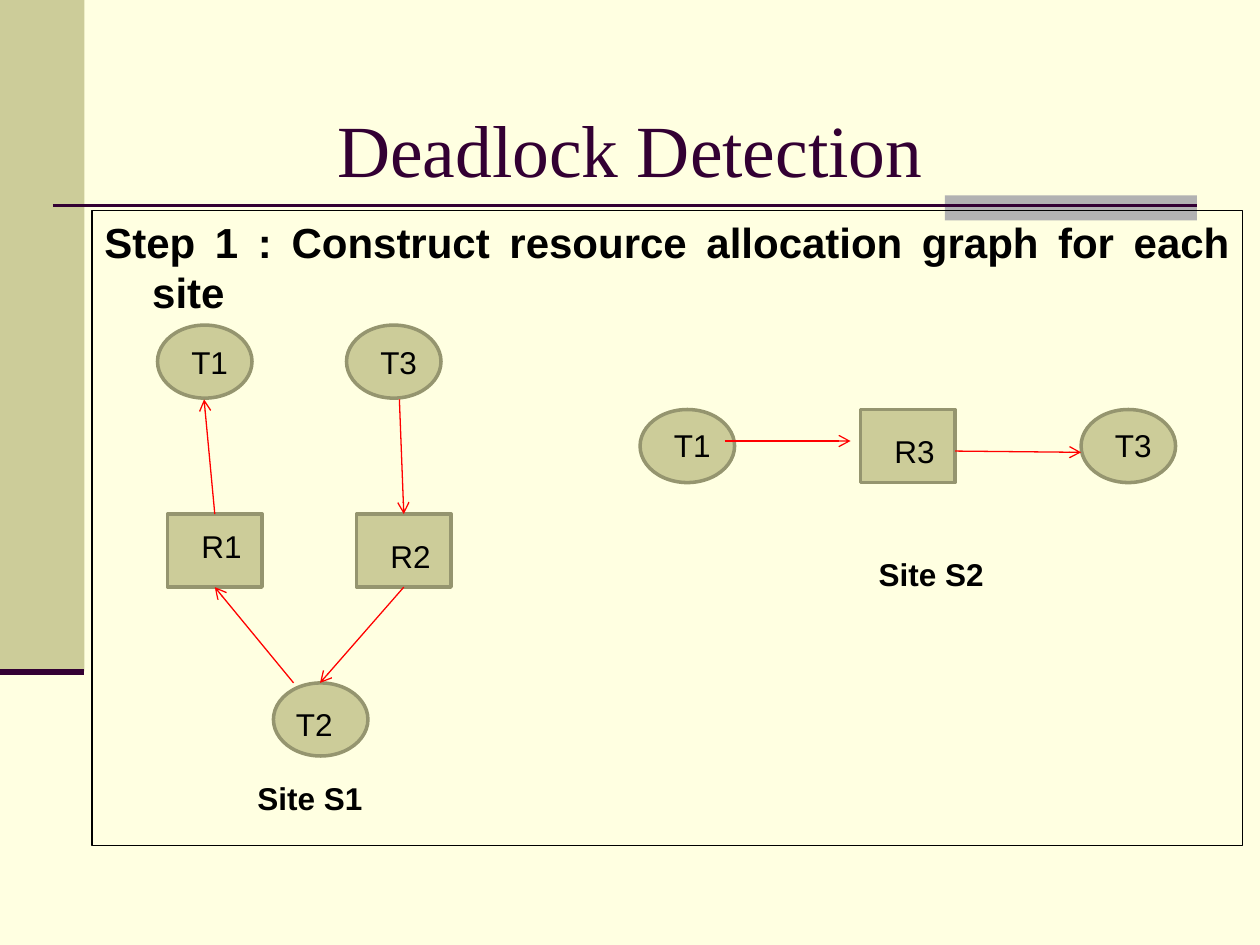
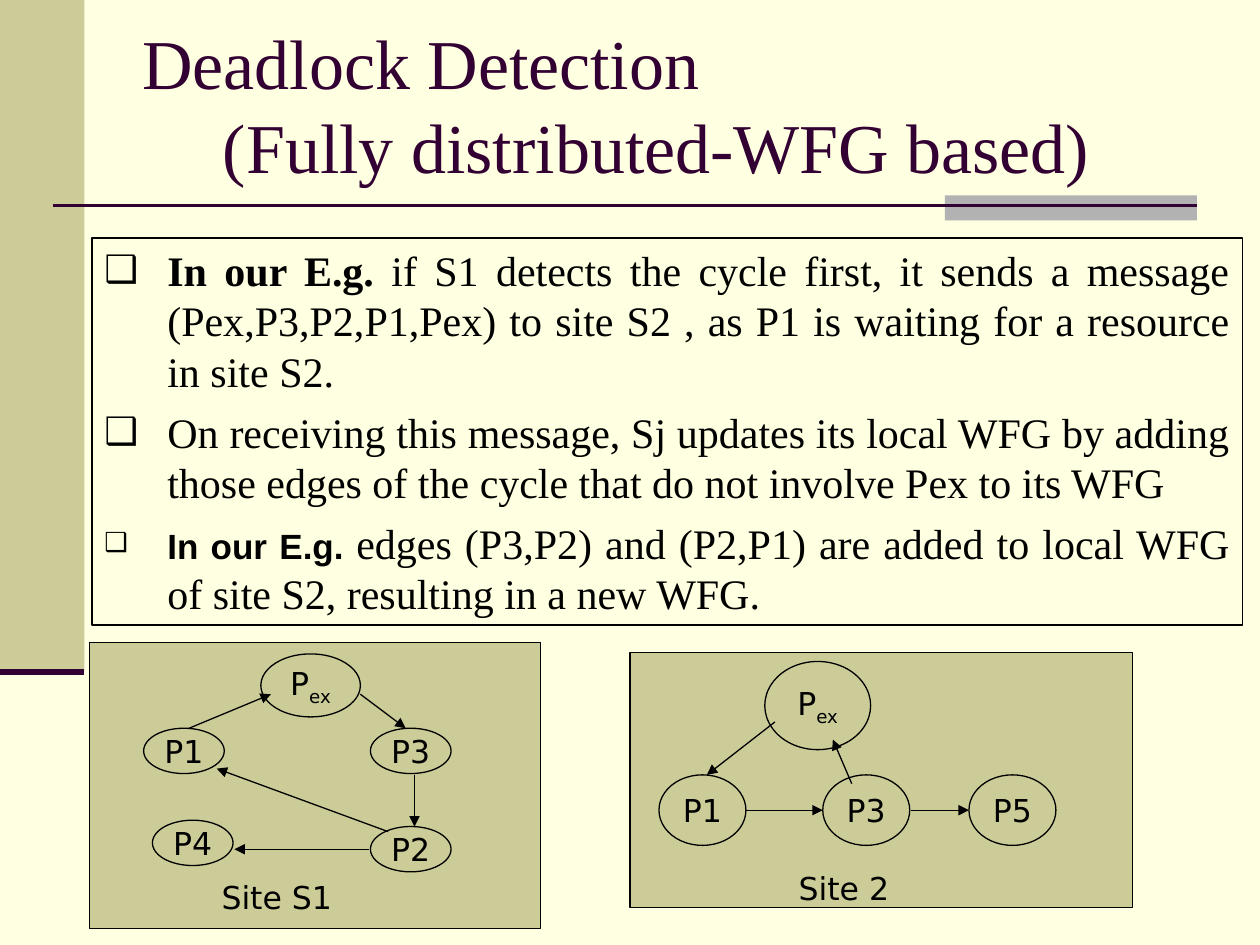
from lxml import etree
from pptx import Presentation
from pptx import util as u
from pptx.dml.color import RGBColor
from pptx.enum import shapes as sh, text as tx
from pptx.oxml.ns import qn

# ---- Shared style ----
COL = {"page": "FFFFE1", "sand": "CCCC99", "olive": "95956F", "grey": "B2B2B2",
       "plum": "330033", "red": "FF0000", "ink": "000000"}
SERIF, SANS, DEJA = "Times New Roman", "Arial", "DejaVu Sans"
RECT, OVAL = sh.MSO_SHAPE.RECTANGLE, sh.MSO_SHAPE.OVAL
MID, TOP = tx.MSO_ANCHOR.MIDDLE, tx.MSO_ANCHOR.TOP
LEFT, MIDDLE, FULL = tx.PP_ALIGN.LEFT, tx.PP_ALIGN.CENTER, tx.PP_ALIGN.JUSTIFY

# ---- Slide 1: allocation graphs ----
STEP = "Step 1 : Construct resource allocation graph for each site"
NODE = (0.75, 0.58)
# key: (label, outline, left, top, label shift right, label shift down)
ALLOC = {
    "T1": ("T1", OVAL, 1.25, 2.58, 0.17, 0.09),
    "T3": ("T3", OVAL, 2.75, 2.58, 0.17, 0.09),
    "T2": ("T2", OVAL, 2.17, 5.42, 0.08, 0.13),
    "R1": ("R1", RECT, 1.33, 4.08, 0.17, 0.05),
    "R2": ("R2", RECT, 2.83, 4.08, 0.17, 0.13),
    "T1b": ("T1", OVAL, 5.08, 3.25, 0.17, 0.08),
    "R3": ("R3", RECT, 6.83, 3.25, 0.17, 0.13),
    "T3b": ("T3", OVAL, 8.58, 3.25, 0.17, 0.08),
}
# An end is a point, or a node key with a side (0 top, 2 bottom)
HOLDS = [
    ((3.17, 3.17), ("R2", 0)),
    (("R2", 2), (2.54, 5.42)),
    ((2.33, 5.42), ("R1", 2)),
    (("R1", 0), (1.62, 3.17)),
    ((5.75, 3.5), (6.75, 3.5)),
    ((7.58, 3.58), (8.58, 3.59)),
]
SITES = [("Site S1", 1.42, 6.13), ("Site S2", 6.35, 4.36)]

# ---- Slide 2: wait-for graphs ----
# (title line, indent)
HEADS = [("Deadlock Detection", 0.32), ("(Fully distributed-WFG based)", 0.96)]
# (bullet size, lead size, lead font, bold lead, plain text)
POINTS = [
    (90, 24, SERIF, "In our E.g. ",
     "if S1 detects the cycle first, it sends a message (Pex,P3,P2,P1,Pex) "
     "to site S2 , as P1 is waiting for a resource in site S2."),
    (90, 24, SERIF, "",
     "On receiving this message, Sj updates its local WFG by adding those "
     "edges of the cycle that do not involve Pex to its WFG"),
    (75, 20, SANS, "In our E.g. ",
     "edges (P3,P2) and (P2,P1) are added to local WFG of site S2, "
     "resulting in a new WFG."),
]
GRAPHS = [
    {"panel": (0.71, 5.1, 3.58, 2.27), "size": (0.64, 0.36),
     "nodes": [("P1", 1.14, 5.78), ("P2", 2.94, 6.56),
               ("P3", 2.94, 5.78), ("P4", 1.21, 6.51)],
     "pex": (2.07, 5.19, 0.79, 0.5),
     "waits": [((3.29, 6.15), (3.29, 6.56)), ((2.93, 6.74), (1.86, 6.74)),
               ((3.08, 6.6), (1.72, 6.1)), ((1.5, 5.78), (2.15, 5.51)),
               ((2.86, 5.51), (3.22, 5.78))],
     "site": ("Site S1", (1.5, 6.92, 1.29, 0.4), 0.16)},
    {"panel": (5, 5.18, 3.99, 2.02), "size": (0.69, 0.56),
     "nodes": [("P1", 5.23, 6.15), ("P3", 6.53, 6.15), ("P5", 7.69, 6.15)],
     "pex": (6.07, 5.25, 0.84, 0.7),
     "waits": [((5.92, 6.43), (6.53, 6.43)), ((7.23, 6.43), (7.69, 6.43)),
               ((6.15, 5.73), (5.61, 6.15)), ((6.76, 6.22), (6.61, 5.87))],
     "site": ("Site 2", (5.84, 6.85, 1.53, 0.4), 0.4)},
]


# ---- Helpers ----
def rgb(name):
    return RGBColor.from_string(COL[name])


def inch(vals):
    return [u.Inches(v) for v in vals]


def style(run, size, face, bold=False, hue="ink"):
    font = run.font
    font.size, font.name, font.bold = u.Pt(size), face, bold
    font.color.rgb = rgb(hue)


def indent(para, left, first=0):
    props = para._p.get_or_add_pPr()
    props.set("marL", str(u.Inches(left)))
    props.set("indent", str(u.Inches(first)))
    return props


def bullet(para, pct):
    props = indent(para, 0.5, -0.5)
    hue = etree.SubElement(props, qn("a:buClr"))
    etree.SubElement(hue, qn("a:srgbClr"), val=COL["ink"])
    etree.SubElement(props, qn("a:buSzPct"), val=str(pct * 1000))
    etree.SubElement(props, qn("a:buFont"), typeface=DEJA)
    etree.SubElement(props, qn("a:buChar"), char="❑")


def block(slide, kind, at, fill=None, line=None, width=0.75):
    shape = slide.shapes.add_shape(kind, *inch(at))
    shape.shadow.inherit = False
    if fill:
        shape.fill.solid()
        shape.fill.fore_color.rgb = rgb(fill)
    else:
        shape.fill.background()
    if line:
        shape.line.color.rgb = rgb(line)
        shape.line.width = u.Pt(width)
    else:
        shape.line.fill.background()
    return shape


def link(slide, start, end, hue, width=0.75, head=None, nodes=None):
    """Draw a line whose ends are points or (node key, side) pairs."""
    ends = [(0, 0) if isinstance(e[0], str) else e for e in (start, end)]
    line = slide.shapes.add_connector(
        sh.MSO_CONNECTOR.STRAIGHT, *inch(ends[0] + ends[1]))
    for spot, join in ((start, line.begin_connect), (end, line.end_connect)):
        if isinstance(spot[0], str):
            join(nodes[spot[0]], spot[1])
    line.line.color.rgb = rgb(hue)
    line.line.width = u.Pt(width)
    if head:
        etree.SubElement(line.line._get_or_add_ln(), qn("a:tailEnd"), type=head)
    etree.SubElement(line._element.spPr, qn("a:effectLst"))
    return line


def label(slide, words, at, face, bold=False, align=LEFT):
    box = slide.shapes.add_textbox(*inch(at))
    frame = box.text_frame
    frame.word_wrap = True
    frame.text = words
    para = frame.paragraphs[0]
    para.alignment = align
    style(para.runs[0], 18, face, bold)
    return para


def panel(slide, top, high):
    frame = block(slide, RECT, (0.73, top, 9.13, high), line="ink").text_frame
    frame.word_wrap = True
    frame.vertical_anchor = TOP
    return frame


def bubble(slide, at, name, sub=""):
    frame = block(slide, OVAL, at, "sand", "ink").text_frame
    frame.word_wrap = False
    frame.vertical_anchor = MID
    frame.text = name
    para = frame.paragraphs[0]
    para.alignment = MIDDLE
    if sub:
        para.add_run().text = sub
        para.runs[1]._r.get_or_add_rPr().set("baseline", "-25000")
    for run in para.runs:
        style(run, 18, DEJA)


def title(slide, words, at, size):
    head = slide.shapes.title
    head.left, head.top, head.width, head.height = inch(at)
    frame = head.text_frame
    frame.auto_size = tx.MSO_AUTO_SIZE.NONE
    frame.word_wrap = True
    frame.vertical_anchor = MID
    frame.text = words
    for para in frame.paragraphs:
        para.alignment = MIDDLE
        style(para.runs[0], size, SERIF, hue="plum")
    return frame


def decor(slide, layout):
    """Build the bands and rules, then move them to the shared layout."""
    parts = [
        block(slide, RECT, (0, 0, 0.67, 5.33), "sand"),
        block(slide, RECT, (7.5, 1.55, 2, 0.2), "grey"),
        link(slide, (0.42, 1.63), (9.5, 1.63), "plum", 1.5),
        link(slide, (0, 5.33), (0.67, 5.33), "plum", 3.5),
    ]
    for num, part in enumerate(parts):
        part._element.xpath(".//p:cNvPr")[0].set("id", str(100 + num))
        layout.shapes._spTree.append(part._element)


# ---- Slides ----
def alloc(slide):
    title(slide, "Deadlock Detection", (0.5, 0.77, 9, 0.81), 42)
    frame = panel(slide, 1.67, 5.04)
    frame.text = STEP
    para = frame.paragraphs[0]
    indent(para, 0.38, -0.38)
    para.alignment = FULL
    style(para.runs[0], 24, SANS, True)

    nodes = {}
    for key, (name, kind, x, y, dx, dy) in ALLOC.items():
        nodes[key] = block(slide, kind, (x, y, *NODE), "sand", "olive", 2)
        label(slide, name, (x + dx, y + dy, 0.67, 0.4), SANS)
    for start, end in HOLDS:
        link(slide, start, end, "red", head="arrow", nodes=nodes)
    for name, x, y in SITES:
        label(slide, name, (x, y, 2.08, 0.4), SANS, True, MIDDLE)


def waits(slide):
    frame = title(slide, "\n".join(words for words, _ in HEADS),
                  (0.71, 0.37, 9, 0.9), 40)
    for para, (_, left) in zip(frame.paragraphs, HEADS):
        para.alignment = LEFT
        indent(para, left)

    frame = panel(slide, 1.89, 3.07)
    for num, (pct, size, face, lead, words) in enumerate(POINTS):
        para = frame.add_paragraph() if num else frame.paragraphs[0]
        bullet(para, pct)
        para.alignment = FULL
        if num:
            para.space_before = u.Pt(6)
        if lead:
            run = para.add_run()
            run.text = lead
            style(run, size, face, True)
        run = para.add_run()
        run.text = words
        style(run, 24, SERIF)

    for graph in GRAPHS:
        block(slide, RECT, graph["panel"], "sand", "ink")
        for name, x, y in graph["nodes"]:
            bubble(slide, (x, y, *graph["size"]), name)
        bubble(slide, graph["pex"], "P", "ex")
        for start, end in graph["waits"]:
            link(slide, start, end, "ink", head="triangle")
        name, at, shift = graph["site"]
        indent(label(slide, name, at, DEJA), shift)


def main():
    prs = Presentation()
    prs.slide_width, prs.slide_height = inch((10, 7.5))
    back = prs.slide_master.background.fill
    back.solid()
    back.fore_color.rgb = rgb("page")
    layout = prs.slide_layouts[5]
    first, second = [prs.slides.add_slide(layout) for _ in range(2)]
    decor(first, layout)
    alloc(first)
    waits(second)
    prs.save("out.pptx")


if __name__ == "__main__":
    main()
